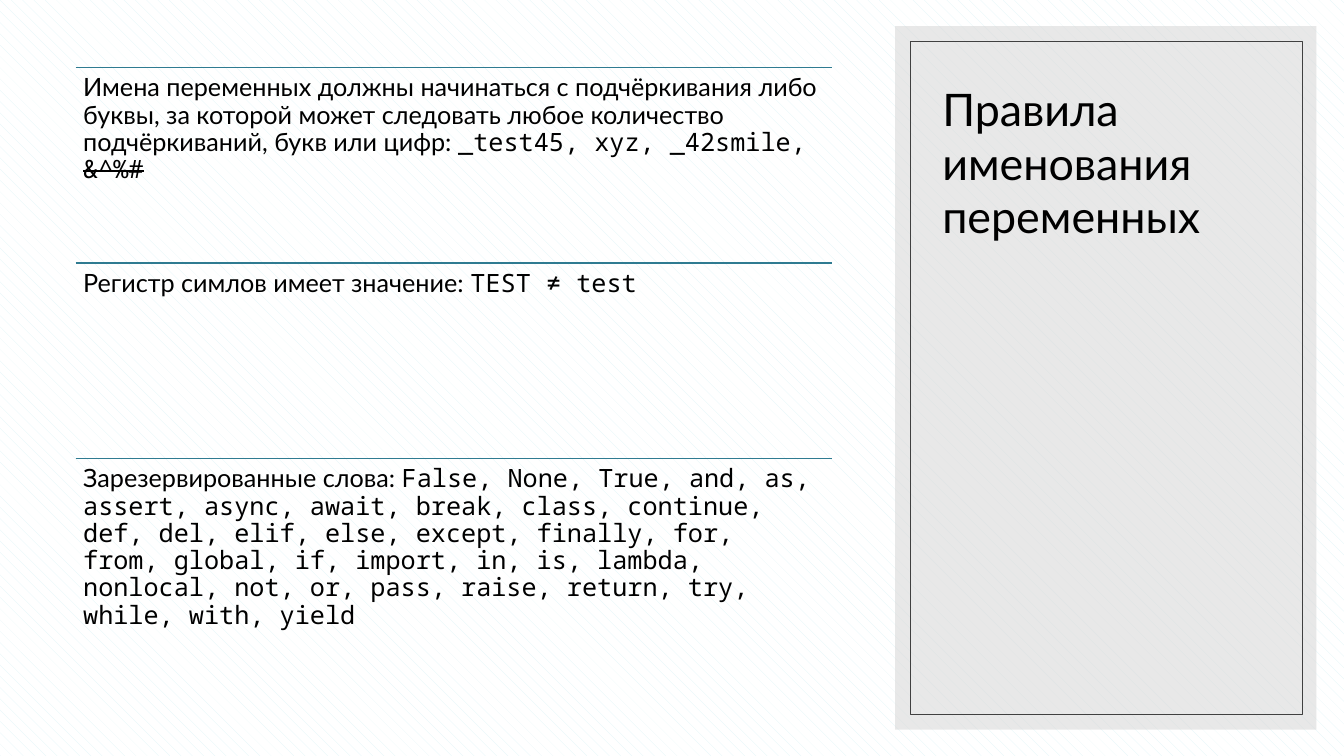
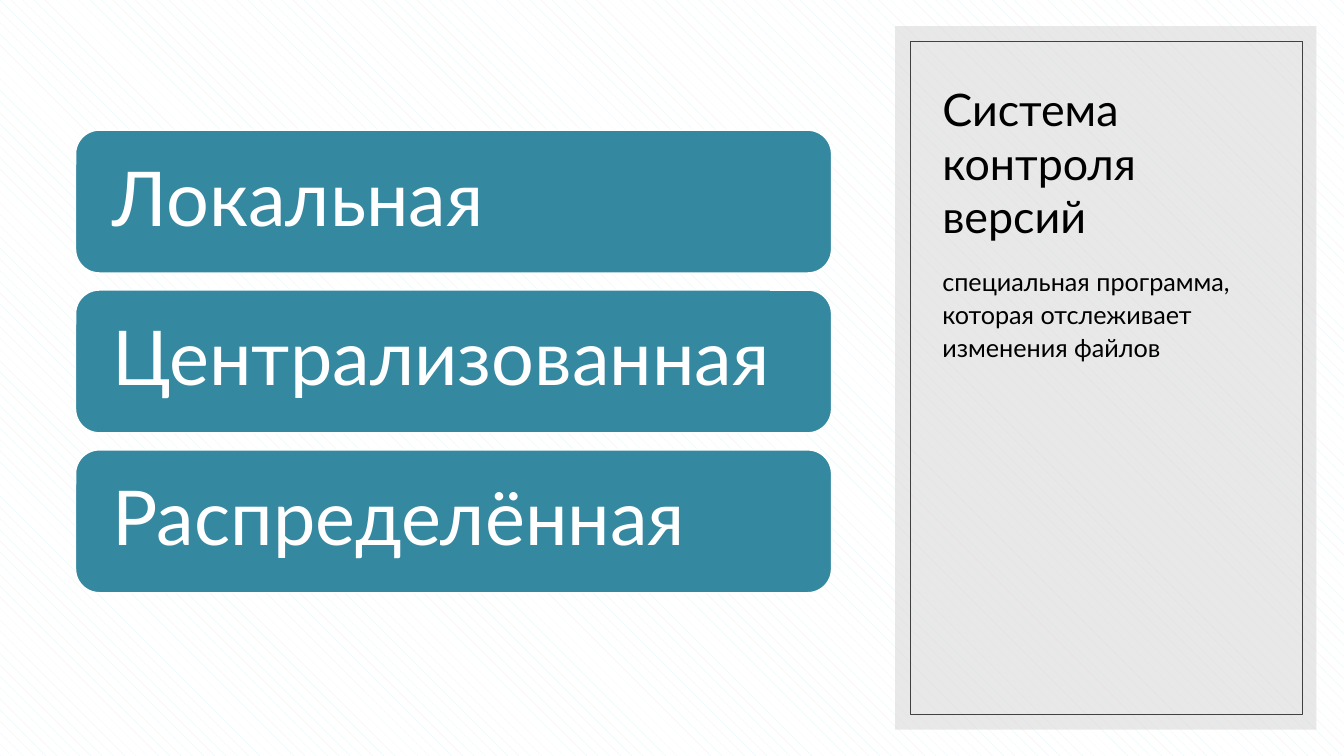
from lxml import etree
from pptx import Presentation
from pptx.dml.color import RGBColor
from pptx.enum.dml import MSO_PATTERN
from pptx.enum.shapes import MSO_CONNECTOR, MSO_SHAPE as Preset
from pptx.enum.text import MSO_ANCHOR as Anchor, PP_ALIGN as Align
from pptx.oxml.ns import qn
from pptx.util import Pt

BLACK, WHITE = "000000", "FFFFFF"
PATTERN_TINT = "DEF4F7"
PANEL_GREY, FRAME_GREY = "D9D9D9", "404040"
RULE_TEAL, BAR_TEAL = "2F7B91", "3488A0"
TEXT_FONT, CODE_FONT = "Lato", "Noto Sans Mono"

CONTENT_LEFT, CONTENT_WIDTH = 54, 540
SIDEBAR_LEFT, SIDEBAR_WIDTH = 666, 249
DEFAULT_INSETS = (7.2, 3.6)

NAMING_RULES = [
    [("Имена переменных должны начинаться с подчёркивания либо буквы, "
      "за которой может следовать любое количество подчёркиваний, "
      "букв или цифр: ", TEXT_FONT, False),
     ("_test45, xyz, _42smile, ", CODE_FONT, False),
     ("&^%#", CODE_FONT, True)],
    [("Регистр симлов имеет значение: ", TEXT_FONT, False),
     ("TEST ≠ test", CODE_FONT, False)],
    [("Зарезервированные слова: ", TEXT_FONT, False),
     ("False, None, True, and, as, assert, async, await, break, class, "
      "continue, def, del, elif, else, except, finally, for, from, global, "
      "if, import, in, is, lambda, nonlocal, not, or, pass, raise, return, "
      "try, while, with, yield", CODE_FONT, False)],
]
SYSTEM_KINDS = ["Локальная", "Централизованная", "Распределённая"]


def color(hex_value):
    """Turn a hex string into a colour."""
    return RGBColor.from_string(hex_value)


def add_box(slide, preset, box, fill=None, line=None, line_width=1):
    """Add a preset shape without shadow; box is left, top, width, height."""
    shape = slide.shapes.add_shape(preset, *map(Pt, box))
    shape.shadow.inherit = False
    if fill:
        shape.fill.solid()
        shape.fill.fore_color.rgb = color(fill)
    else:
        shape.fill.background()
    if line:
        shape.line.color.rgb = color(line)
        shape.line.width = Pt(line_width)
    else:
        shape.line.fill.background()
    return shape


def set_opacity(shape, percent):
    """Make the solid fill of a shape partly transparent."""
    fill_color = shape.fill._xPr.find(qn("a:solidFill"))[0]
    etree.SubElement(fill_color, qn("a:alpha")).set("val", str(percent * 1000))


def add_rule(slide, top):
    """Add a horizontal line across the content area."""
    right = CONTENT_LEFT + CONTENT_WIDTH
    connector = slide.shapes.add_connector(
        MSO_CONNECTOR.STRAIGHT, Pt(CONTENT_LEFT), Pt(top), Pt(right), Pt(top))
    connector.line.color.rgb = color(RULE_TEAL)
    connector.line.width = Pt(1)
    etree.SubElement(connector._element.spPr, qn("a:effectLst"))


def write_text(shape, pieces, size, text_color=BLACK, anchor=Anchor.TOP,
               insets=DEFAULT_INSETS, spacing=1.0):
    """Fill a shape with one paragraph of (text, font, struck) pieces."""
    frame = shape.text_frame
    frame.word_wrap = True
    frame.vertical_anchor = anchor
    frame.margin_left = frame.margin_right = Pt(insets[0])
    frame.margin_top = frame.margin_bottom = Pt(insets[1])
    paragraph = frame.paragraphs[0]
    paragraph.alignment = Align.LEFT
    paragraph.line_spacing = spacing
    for text, font_name, struck in pieces:
        run = paragraph.add_run()
        run.text = text
        run.font.name = font_name
        run.font.size = Pt(size)
        run.font.color.rgb = color(text_color)
        if struck:
            run._r.get_or_add_rPr().set("strike", "sngStrike")


def add_text(slide, box, pieces, size, **style):
    """Add a text box; box is left, top, width, height."""
    write_text(slide.shapes.add_textbox(*map(Pt, box)), pieces, size, **style)


def add_themed_slide(presentation, title):
    """Add a slide with the shared background, side panel and title."""
    slide = presentation.slides.add_slide(presentation.slide_layouts[6])
    fill = slide.background.fill
    fill.patterned()
    fill.pattern = MSO_PATTERN.SHINGLE
    fill.fore_color.rgb = color(PATTERN_TINT)
    fill.back_color.rgb = color(WHITE)
    panel = add_box(slide, Preset.RECTANGLE, (639.36, 18.72, 301, 502.5),
                    fill=PANEL_GREY)
    set_opacity(panel, 60)
    add_box(slide, Preset.RECTANGLE, (650.16, 29.52, 280, 481),
            line=FRAME_GREY, line_width=0.5)
    add_text(slide, (SIDEBAR_LEFT, 47.5, SIDEBAR_WIDTH, 129.6),
             [(title, TEXT_FONT, False)], 32, anchor=Anchor.BOTTOM)
    return slide


def add_ruled_list(slide, items, top=48.24, row_height=139.68):
    """Stack text rows of equal height, each under a rule."""
    for index, pieces in enumerate(items):
        row_top = top + index * row_height
        add_rule(slide, row_top)
        add_text(slide, (CONTENT_LEFT, row_top, CONTENT_WIDTH, row_height),
                 pieces, 18, insets=(5.4, 5.4), spacing=0.9)


def add_bars(slide, labels, top=93, height=102, pitch=114.2):
    """Stack rounded bars at an equal pitch."""
    for index, label in enumerate(labels):
        bar = add_box(slide, Preset.ROUNDED_RECTANGLE,
                      (CONTENT_LEFT, top + index * pitch,
                       CONTENT_WIDTH, height), fill=BAR_TEAL, line=WHITE)
        write_text(bar, [(label, TEXT_FONT, False)], 54, text_color=WHITE,
                   anchor=Anchor.MIDDLE, insets=(21.6, 21.6), spacing=0.9)


def main():
    """Build and save the presentation."""
    presentation = Presentation()
    presentation.slide_width, presentation.slide_height = Pt(960), Pt(540)

    naming = add_themed_slide(presentation, "Правила именования переменных")
    add_ruled_list(naming, NAMING_RULES)

    versions = add_themed_slide(presentation, "Система контроля версий")
    add_text(versions, (SIDEBAR_LEFT, 184.3, SIDEBAR_WIDTH, 283.7),
             [("специальная программа, которая отслеживает изменения файлов",
               TEXT_FONT, False)], 18, spacing=1.1)
    add_bars(versions, SYSTEM_KINDS)

    presentation.save("out.pptx")


main()
